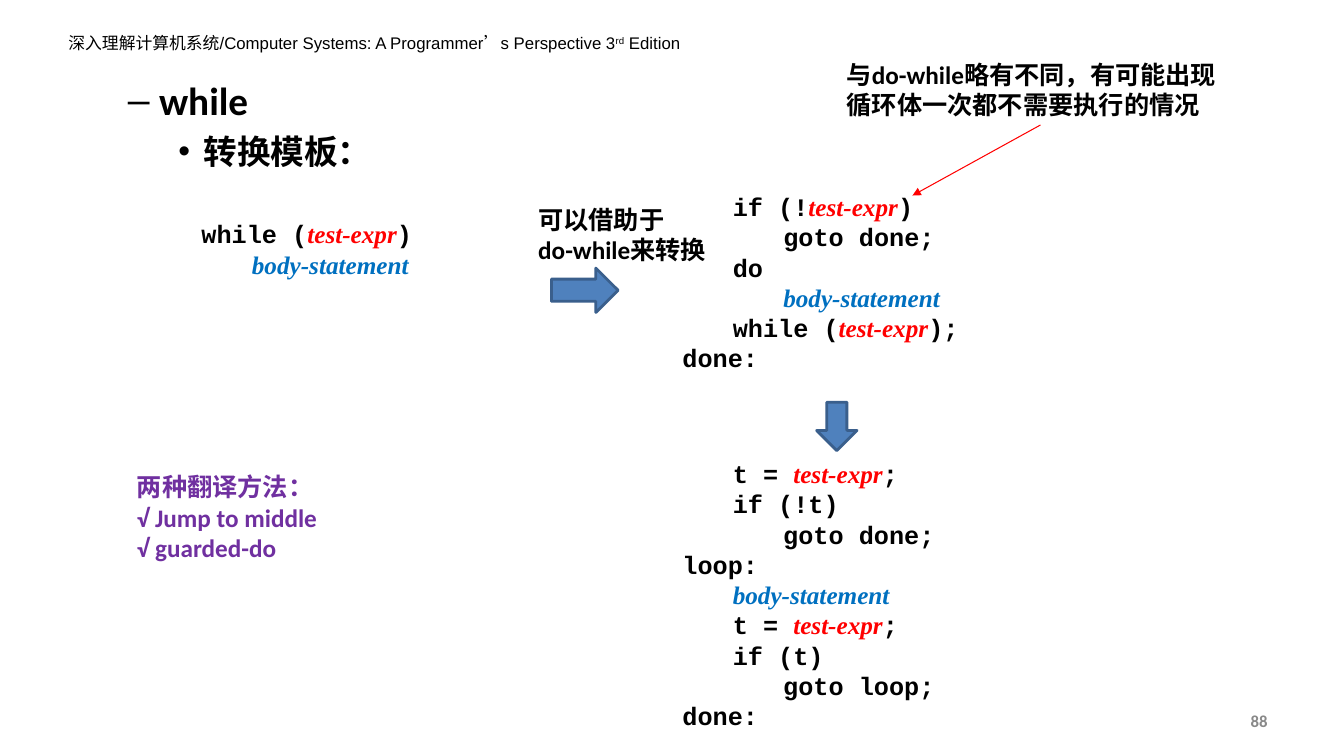
"""Build the slide on translating while loops into do-while and goto form."""
from lxml import etree
from pptx import Presentation
from pptx import util as u
from pptx.dml.color import RGBColor
from pptx.enum import shapes, text
from pptx.oxml.ns import qn

ITALIC = {"test-expr": "FF0000", "body-statement": "0070C0"}


def rgb(value):
    return RGBColor.from_string(value)


def add_text(at, lines, font="Calibri", size=18, color="000000", bold=True,
             align=None, anchor=text.MSO_ANCHOR.TOP):
    """Write lines whose runs are parted by "|"; "^" raises a run."""
    tf = s.shapes.add_textbox(*map(u.Inches, at)).text_frame
    tf.word_wrap = True
    tf.vertical_anchor = anchor
    for i, line in enumerate(lines):
        p = tf.paragraphs[0] if i == 0 else tf.add_paragraph()
        p.alignment = align
        for part in line.split("|"):
            r = p.add_run()
            r.text = part.lstrip("^")
            term = ITALIC.get(part.strip())
            r.font.name = "Times New Roman" if term else font
            r.font.size = u.Pt(size)
            r.font.bold = bold
            r.font.italic = bool(term)
            r.font.color.rgb = rgb(term or color)
            if part.startswith("^"):
                r._r.get_or_add_rPr().set("baseline", "30000")
    return tf


prs = Presentation()
prs.slide_width, prs.slide_height = u.Inches(13.33), u.Inches(7.5)
s = prs.slides.add_slide(prs.slide_layouts[6])

add_text((0.58, 0.28, 6.28, 0.3),
         ["深入理解计算机系统/Computer Systems: A Programmer’s Perspective 3|^rd| Edition"],
         font="Arial", size=12, bold=False)
add_text((9.56, 6.95, 3.11, 0.4), ["88"], size=12, color="898989",
         align=text.PP_ALIGN.RIGHT, anchor=text.MSO_ANCHOR.MIDDLE)

outline = add_text((0.67, 0.71, 12, 4.92), ["while", "转换模板："])
levels = [("–", 0.81, -0.31, 28, 0), ("•", 1.25, -0.25, 24, 5)]
for level, (p, (bullet, margin, indent, size, before)) in enumerate(zip(outline.paragraphs, levels), 1):
    p.level = level
    pPr = p._p.get_or_add_pPr()
    pPr.set("marL", str(u.Inches(margin)))
    pPr.set("indent", str(u.Inches(indent)))
    etree.SubElement(pPr, qn("a:buFont")).set("typeface", "Arial")
    etree.SubElement(pPr, qn("a:buChar")).set("char", bullet)
    p.space_before = u.Pt(before)
    p.runs[0].font.size = u.Pt(size)

code_blocks = [
    ((1.9, 2.12, 3.35, 0.71), ["while (|test-expr|)", "\tbody-statement"]),
    ((6.67, 1.85, 5.22, 1.92),
     ["\tif (!|test-expr|)", "\t\tgoto done;", "\tdo", "\t\tbody-statement",
      "\twhile (|test-expr|);", "done:"]),
    ((6.67, 4.5, 5.1, 2.83),
     ["\tt = |test-expr|;", "\tif (!t)", "\t\tgoto done;", "loop:", "\tbody-statement",
      "\tt = |test-expr|;", "\tif (t)", "\t\tgoto loop;", "done:"]),
]
for at, lines in code_blocks:
    add_text(at, lines, font="Courier New")

add_text((8.3, 0.54, 4.04, 0.71), ["与do-while略有不同，有可能出现循环体一次都不需要执行的情况"])
add_text((5.24, 1.98, 2.04, 0.71), ["可以借助于", "do-while来转换"])
add_text((1.26, 4.63, 2.04, 1.01),
         ["两种翻译方法：", "√ Jump to middle", "√ guarded-do"], color="7030A0")

for kind, at in [(shapes.MSO_SHAPE.RIGHT_ARROW, (5.47, 2.66, 0.66, 0.44)),
                 (shapes.MSO_SHAPE.DOWN_ARROW, (8.1, 3.99, 0.4, 0.48))]:
    sp = s.shapes.add_shape(kind, *map(u.Inches, at))
    sp.shadow.inherit = False
    sp.fill.solid()
    sp.fill.fore_color.rgb = rgb("4F81BD")
    sp.line.color.rgb = rgb("3A5F8C")
    sp.line.width = u.Pt(2)

cx = s.shapes.add_connector(shapes.MSO_CONNECTOR.STRAIGHT,
                            *map(u.Inches, (10.32, 1.24, 9.05, 1.94)))
cx.line.color.rgb = rgb("FF0000")
cx.line.width = u.Pt(0.75)
etree.SubElement(cx.line._get_or_add_ln(), qn("a:tailEnd")).set("type", "triangle")
etree.SubElement(cx._element.spPr, qn("a:effectLst"))

prs.save("out.pptx")
